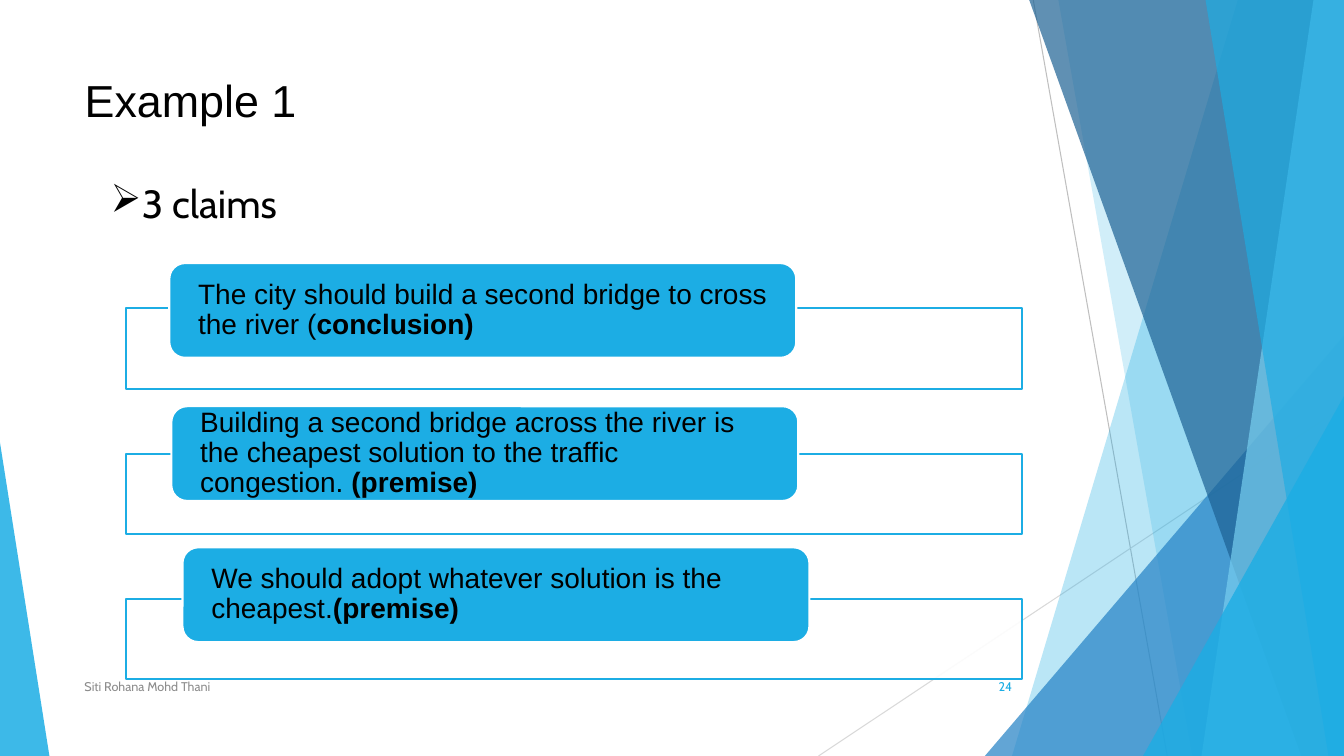
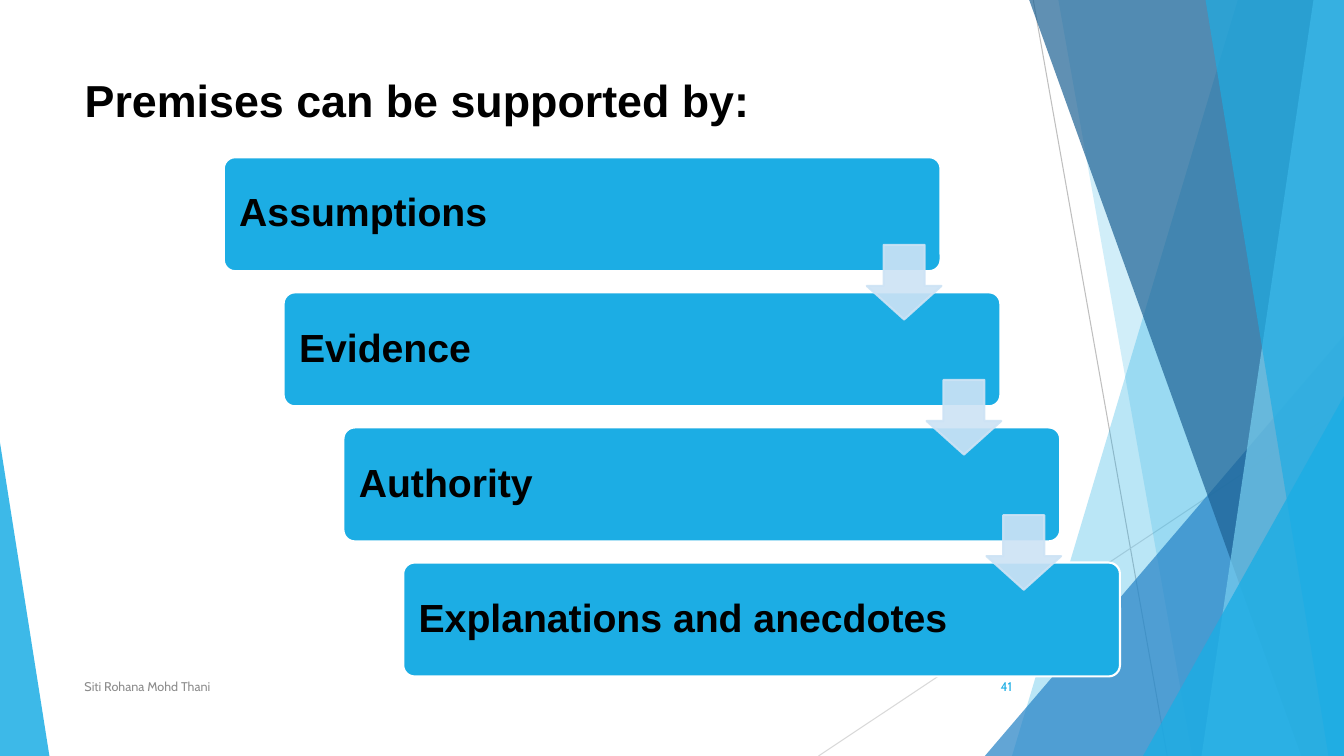
import pptx
import pptx.util
import pptx.dml.color
import pptx.enum.shapes
import pptx.enum.text
import pptx.oxml.ns
from dataclasses import dataclass
from lxml import etree

Pt = pptx.util.Pt
RGB = pptx.dml.color.RGBColor.from_string
SHAPE = pptx.enum.shapes.MSO_SHAPE
ALIGN = pptx.enum.text.PP_ALIGN
ANCHOR = pptx.enum.text.MSO_ANCHOR
qn = pptx.oxml.ns.qn


@dataclass(frozen=True)
class Theme:
    accent: str = "1CADE4"
    blue: str = "2683C6"
    navy: str = "1D6294"
    sky: str = "77CEEF"
    arrow: str = "CDE3F5"
    text: str = "000000"
    muted: str = "8C8C8C"
    white: str = "FFFFFF"
    head_font: str = "Arial"
    body_font: str = "Cabin"
    title: int = 32
    large: int = 28
    body: int = 20
    small: int = 9


T = Theme()
prs = pptx.Presentation()
prs.slide_width = pptx.util.Inches(13.333)
prs.slide_height = pptx.util.Inches(7.5)
# One column or row is one hundredth of the slide
COL, ROW = prs.slide_width / 100, prs.slide_height / 100


def draw(s, kind, at, fill=None, alpha=100, line=None, adj=()):
    """Add a text box (None), a right-hand band ("band") or a preset shape."""
    if kind == "band":
        top, bottom = at
        pts = [(round(x * COL), round(y * ROW))
               for x, y in ((top, 0), (100, 0), (100, 100), (bottom, 100))]
        fb = s.shapes.build_freeform(*pts[0])
        fb.add_line_segments(pts[1:], close=True)
        sp = fb.convert_to_shape()
    else:
        box = [round(v * unit) for v, unit in zip(at, (COL, ROW, COL, ROW))]
        if kind is None:
            return s.shapes.add_textbox(*box)
        sp = s.shapes.add_shape(kind, *box)
    for i, value in enumerate(adj):
        sp.adjustments[i] = value
    sp.shadow.inherit = False
    sp.fill.solid()
    sp.fill.fore_color.rgb = RGB(fill)
    if line:
        sp.line.color.rgb = RGB(line)
        sp.line.width = Pt(1.5)
    else:
        sp.line.fill.background()
    if alpha < 100:
        for clr in list(sp.element.spPr.iter(qn("a:srgbClr"))):
            if clr.get("val") == fill:
                etree.SubElement(clr, qn("a:alpha"), val=str(alpha * 1000))
    return sp


def write(sp, text, size, color=T.text, font=T.head_font, bold=False, tail="",
          align=ALIGN.LEFT, anchor=ANCHOR.MIDDLE, spacing=None, inset=None, bullet=None):
    """Write one paragraph; tail is a bold ending."""
    tf = sp.text_frame
    tf.word_wrap = True
    tf.auto_size = pptx.enum.text.MSO_AUTO_SIZE.NONE
    tf.vertical_anchor = anchor
    if inset:
        tf.margin_left = tf.margin_right = pptx.util.Inches(inset[0])
        tf.margin_top = tf.margin_bottom = pptx.util.Inches(inset[1])
    p = tf.paragraphs[0]
    p.alignment = align
    if spacing:
        p.line_spacing = spacing
    if bullet:
        pPr = p._p.get_or_add_pPr()
        indent = pptx.util.Inches(0.31)
        pPr.set("marL", str(indent))
        pPr.set("indent", str(-indent))
        etree.SubElement(pPr, qn("a:buChar"), char=bullet)
    for part, heavy in ((text, bold), (tail, True)):
        if part:
            r = p.add_run()
            r.text = part
            r.font.size = Pt(size)
            r.font.name = font
            r.font.bold = heavy
            r.font.color.rgb = RGB(color)


# Slides with title, footer and number
layout = prs.slide_layouts[5]
slides = []
for title, bold, number in (("Example 1", False, "24"),
                            ("Premises can be supported by:", True, "41")):
    s = prs.slides.add_slide(layout)
    slides.append(s)
    sp = s.shapes.title
    sp.left, sp.top = round(5.55 * COL), round(8.93 * ROW)
    sp.width, sp.height = round(70.5 * COL), round(19.2 * ROW)
    write(sp, title, T.title, bold=bold, anchor=ANCHOR.TOP)
claims, supports = slides

# Shared decoration, drawn once and moved to the layout
for x1, y1, x2, y2, color in ((76.88, 0, 86.85, 100, "BFBFBF"),
                              (100, 53.73, 60.9, 100, "D9D9D9")):
    cx = claims.shapes.add_connector(
        pptx.enum.shapes.MSO_CONNECTOR.STRAIGHT,
        round(x1 * COL), round(y1 * ROW), round(x2 * COL), round(y2 * ROW))
    cx.line.color.rgb = RGB(color)
    cx.line.width = Pt(0.75)
    etree.SubElement(cx.element.spPr, qn("a:effectLst"))
TRI = SHAPE.ISOSCELES_TRIANGLE
for kind, at, fill, alpha, adj in (
        ("band", (92.1, 75.3), T.accent, 30, ()),
        ("band", (78.75, 88.73), T.accent, 20, ()),
        (TRI, (73.28, 44.4, 26.72, 55.6), T.blue, 72, (1,)),
        ("band", (76.58, 96.83), T.navy, 70, ()),
        ("band", (97.73, 89.4), T.sky, 70, ()),
        ("band", (89.7, 98.85), T.accent, 65, ()),
        (TRI, (85.05, 52.4, 14.95, 47.6), T.accent, 80, (1,)),
        (TRI, (0, 58.53, 3.68, 41.47), T.accent, 85, (0,))):
    draw(claims, kind, at, fill, alpha, adj=adj)
for i, sp in enumerate(list(claims.shapes)[1:]):
    sp.element[0][0].set("id", str(100 + i))
    layout.shapes.element.append(sp.element)

for s, number in zip(slides, ("24", "41")):
    write(draw(s, None, (5.55, 88.13, 51.68, 5.33)), "Siti Rohana Mohd Thani",
          T.small, T.muted, T.body_font)
    write(draw(s, None, (70.43, 88.13, 5.62, 5.33)), number,
          T.small, T.accent, T.body_font, align=ALIGN.RIGHT)

# Claims: an open frame behind each card
write(draw(claims, None, (7.5, 23.07, 64.88, 20.13)), "3 claims", T.large,
      font=T.body_font, anchor=ANCHOR.TOP, bullet="➢")
for i, (x, y, text, role) in enumerate((
        (12.6, 34.8, "The city should build a second bridge to cross the river (",
         "conclusion)"),
        (12.75, 53.73, "Building a second bridge across the river is the cheapest "
         "solution to the traffic congestion. ", "(premise)"),
        (13.58, 72.4, "We should adopt whatever solution is the cheapest.",
         "(premise)"))):
    draw(claims, SHAPE.RECTANGLE, (9.38, 40.8 + 19.2 * i, 66.68, 10.67),
         T.white, 90, T.accent)
    sp = draw(claims, SHAPE.ROUNDED_RECTANGLE, (x, y, 46.65, 12.53),
              T.accent, line=T.white)
    write(sp, text, T.body, tail=role, spacing=0.9, inset=(0.24, 0))

# Supports: a staircase of cards joined by arrows
STEP_X, STEP_Y = 4.45, 17.87
steps = ("Assumptions", "Evidence", "Authority", "Explanations and anecdotes")
for i, text in enumerate(steps):
    sp = draw(supports, SHAPE.ROUNDED_RECTANGLE,
              (16.65 + STEP_X * i, 20.8 + STEP_Y * i, 53.33, 15.07),
              T.accent, line=T.white, adj=(0.1,))
    write(sp, text, T.large, bold=True, spacing=0.9, inset=(0.12, 0.12))
for i in range(len(steps) - 1):
    draw(supports, SHAPE.DOWN_ARROW,
         (64.5 + STEP_X * i, 32.4 + STEP_Y * i, 5.55, 9.87),
         T.arrow, 90, T.arrow, (0.55, 0.45))

prs.save("out.pptx")
